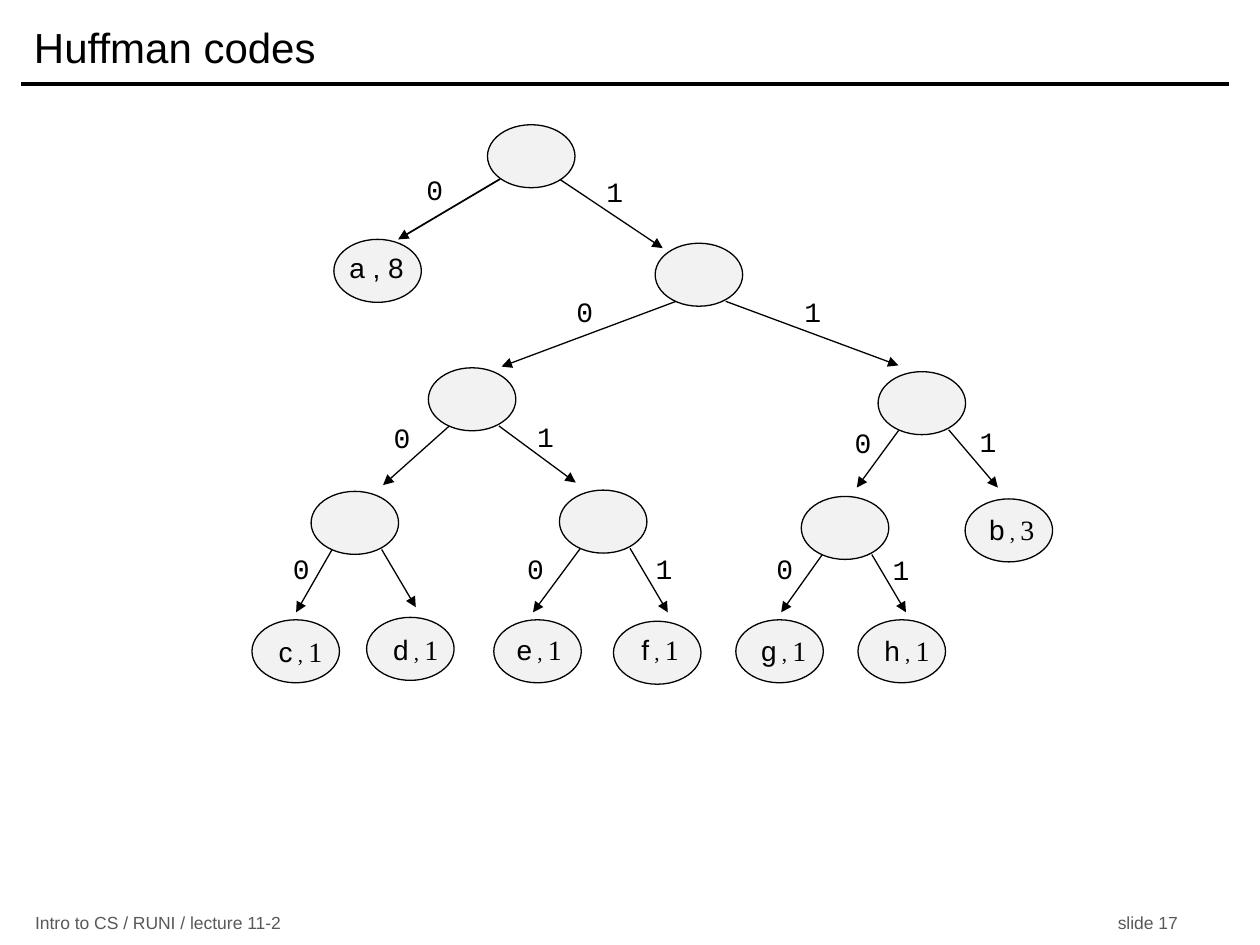
from lxml.etree import SubElement
from pptx import Presentation
from pptx.dml.color import RGBColor
from pptx.enum.shapes import MSO_CONNECTOR, MSO_SHAPE
from pptx.enum.text import MSO_ANCHOR, MSO_AUTO_SIZE, PP_ALIGN
from pptx.oxml.ns import qn
from pptx.util import Pt

COLORS = {"ink": "000000", "node": "F2F2F2", "footer": "595959"}
NODE_SIZE = (50, 36)

# Each node is named by its path of bits from the root: (left, top)
NODES = {
    "": (278.6, 71.3),
    "0": (190.8, 136.8), "1": (374.4, 139),
    "10": (244.8, 210.2), "11": (501.8, 212.4),
    "100": (177.8, 280.8), "101": (319.7, 280.1),
    "110": (457.9, 283.7), "111": (551.5, 285.1),
    "1000": (144, 354.2), "1001": (209.5, 352.8),
    "1010": (282.2, 354.2), "1011": (350.6, 355),
    "1100": (420.5, 354.2), "1101": (490.3, 354.2),
}

# Where an edge leaves its parent, measured from the parent's corner
EDGE_START = {"0": (12, 33.2), "1": (40.3, 33.2)}
ROOT_EDGE_START = {"0": (7.2, 31), "1": (41, 31)}

# Child node: arrow tip, corner of the bit label (None where it is unlabelled)
EDGES = {
    "0": ((227.5, 136.8), (236.9, 95)),
    "1": ((378.7, 141.8), (339.8, 96.5)),
    "10": ((286.6, 209.5), (322.6, 164.9)),
    "11": ((513.4, 208.8), (452.9, 164.9)),
    "100": ((218.9, 277.2), (218.2, 236.9)),
    "101": ((329, 275.8), (300.2, 236.2)),
    "110": ((489.6, 278.6), (481.7, 239.8)),
    "111": ((570.2, 278.6), (553, 239)),
    "1000": ((169.2, 349.9), (160.6, 311.8)),
    "1001": ((237.6, 347), None),
    "1010": ((304.6, 349.9), (294.5, 311.8)),
    "1011": ((381.6, 349.9), (367.9, 311.8)),
    "1100": ((446.4, 349.9), (437, 311.8)),
    "1101": ((517.7, 349.9), (503.3, 312.5)),
}

# Letter, count, left, top, width
LEAVES = [
    ("b", "3", 558, 289.4, 40.3),
    ("c", "1", 151.9, 359.3, 39.6),
    ("d", "1", 217.4, 357.8, 40.3),
    ("e", "1", 288, 357.8, 40.3),
    ("f", "1", 359.3, 357.8, 36),
    ("g", "1", 427.7, 358.6, 40.3),
    ("h", "1", 498.2, 358.6, 40.3),
]


def rgb(name):
    return RGBColor.from_string(COLORS[name])


def set_font(font, name, size, color="ink"):
    font.name, font.size, font.color.rgb = name, Pt(size), rgb(color)


def add_line(slide, start, end, width, arrow=False):
    line = slide.shapes.add_connector(
        MSO_CONNECTOR.STRAIGHT, *(Pt(value) for value in (*start, *end)))
    line.line.color.rgb = rgb("ink")
    line.line.width = Pt(width)
    if arrow:
        SubElement(line.line._get_or_add_ln(), qn("a:tailEnd"), type="triangle")
    SubElement(line._element.spPr, qn("a:effectLst"))


def add_node(slide, left, top):
    width, height = NODE_SIZE
    node = slide.shapes.add_shape(
        MSO_SHAPE.OVAL, Pt(left), Pt(top), Pt(width), Pt(height))
    node.shadow.inherit = False
    node.fill.solid()
    node.fill.fore_color.rgb = rgb("node")
    node.line.color.rgb = rgb("ink")
    node.line.width = Pt(0.75)


def add_label(slide, left, top, width, runs):
    """Centred single-line text; runs are (text, font name, size)."""
    box = slide.shapes.add_textbox(Pt(left), Pt(top), Pt(width), Pt(26.6))
    frame = box.text_frame
    frame.word_wrap = False
    frame.margin_left = frame.margin_right = 0
    paragraph = frame.paragraphs[0]
    paragraph.alignment = PP_ALIGN.CENTER
    for text, name, size in runs:
        run = paragraph.add_run()
        run.text = text
        set_font(run.font, name, size)


def add_edge(slide, child, tip, label):
    parent, bit = child[:-1], child[-1]
    offset = (EDGE_START if parent else ROOT_EDGE_START)[bit]
    start = [corner + shift for corner, shift in zip(NODES[parent], offset)]
    add_line(slide, start, tip, 1 if child == "0" else 0.75, arrow=True)
    if label:
        add_label(slide, *label, 23, [(bit, "Courier New", 16)])


def add_title(slide, text):
    title = slide.shapes.title
    title.left, title.top, title.width, title.height = (
        Pt(value) for value in (12.2, 5.8, 690, 41.8))
    frame = title.text_frame
    frame.text = text
    frame.vertical_anchor = MSO_ANCHOR.MIDDLE
    frame.auto_size = MSO_AUTO_SIZE.NONE
    paragraph = frame.paragraphs[0]
    paragraph.alignment = PP_ALIGN.LEFT
    set_font(paragraph.font, "Arial", 24)
    add_line(slide, (12.2, 48), (702, 48), 2)


def add_footer(slide, left_text, right_text):
    box = slide.shapes.add_textbox(Pt(13), Pt(520.6), Pt(678), Pt(13.6))
    frame = box.text_frame
    frame.word_wrap = True
    frame.vertical_anchor = MSO_ANCHOR.MIDDLE
    paragraph = frame.paragraphs[0]
    paragraph.text = f"{left_text}\t{right_text}"
    tabs = SubElement(paragraph._p.get_or_add_pPr(), qn("a:tabLst"))
    SubElement(tabs, qn("a:tab"), pos=str(Pt(653)), algn="r")
    set_font(paragraph.font, "Arial", 10, "footer")


def main():
    presentation = Presentation()
    presentation.slide_width, presentation.slide_height = Pt(720), Pt(540)
    slide = presentation.slides.add_slide(presentation.slide_layouts[5])

    add_title(slide, "Huffman codes")
    for child, (tip, label) in EDGES.items():
        add_edge(slide, child, tip, label)
    for corner in NODES.values():
        add_node(slide, *corner)
    add_label(slide, 192.2, 139.7, 46, [("a , 8", "Arial", 16)])
    for letter, count, left, top, width in LEAVES:
        add_label(slide, left, top, width, [
            (letter, "Arial", 16),
            (" , ", "Times New Roman", 12),
            (count, "Times New Roman", 16),
        ])
    add_footer(slide, "Intro to CS / RUNI / lecture 11-2", "slide 17")
    presentation.save("out.pptx")


if __name__ == "__main__":
    main()
